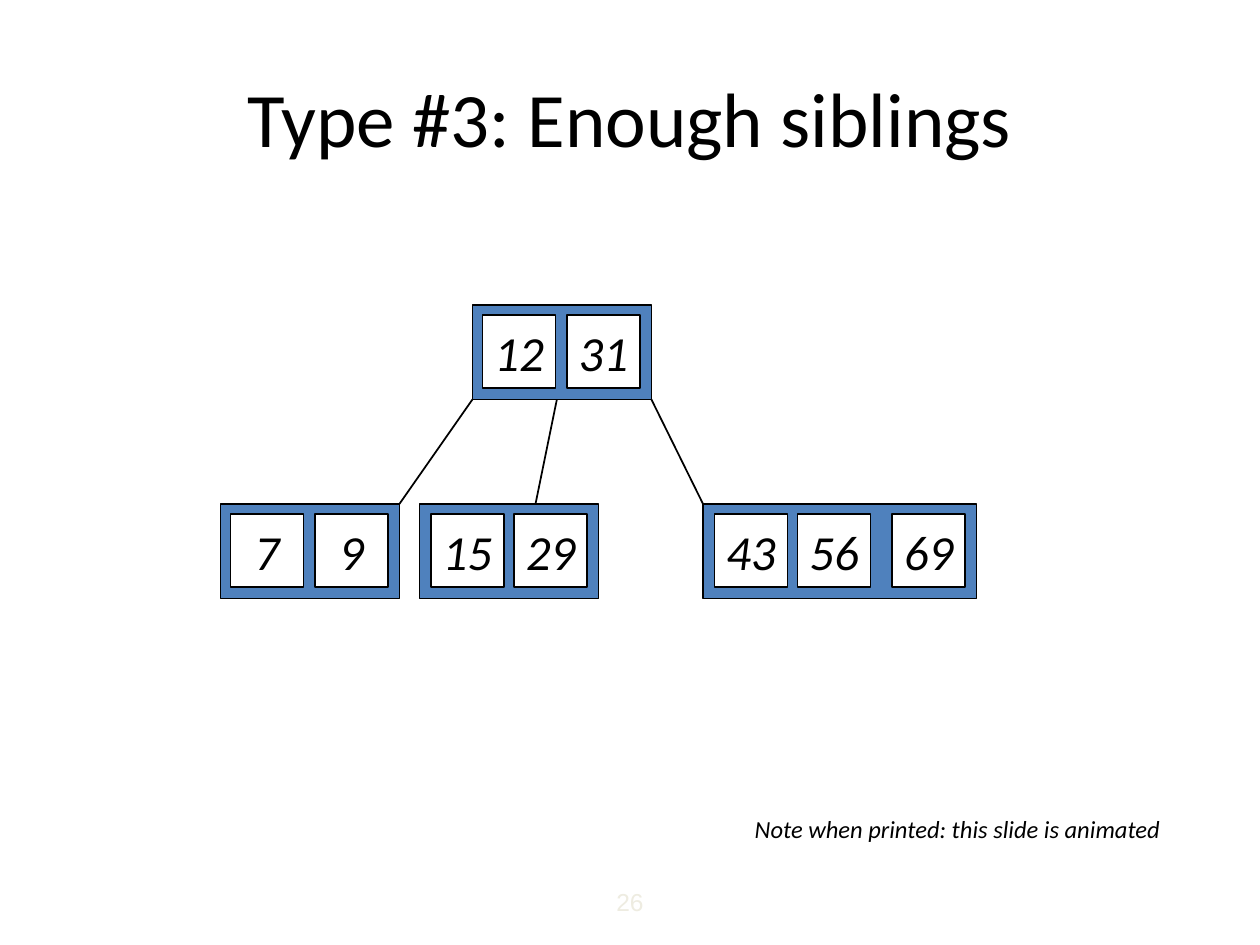
from pptx import Presentation
from pptx.dml.color import RGBColor
from pptx.enum.shapes import MSO_CONNECTOR, MSO_SHAPE
from pptx.enum.text import MSO_ANCHOR, PP_ALIGN
from pptx.oxml.ns import qn
from pptx.util import Inches, Pt

RECT = MSO_SHAPE.RECTANGLE
LINE = MSO_CONNECTOR.STRAIGHT
MID = MSO_ANCHOR.MIDDLE
CENTER = PP_ALIGN.CENTER
BLACK = RGBColor(0x00, 0x00, 0x00)
WHITE = RGBColor(0xFF, 0xFF, 0xFF)
BLUE = RGBColor(0x4F, 0x81, 0xBD)
PALE = RGBColor(0xEE, 0xEC, 0xE1)

KEY = 0.58
PAD = 0.08
HIGH = 0.75
TOP = 2.42
LOW = 4


class Board:
    """Draws the nodes, edges and labels of a tree on one slide."""

    def __init__(self, slide, font="Calibri"):
        self.shapes = slide.shapes
        self.font = font

    def fill_text(self, shape, text, size, color=BLACK, italic=False, wrap=False, font=None):
        frame = shape.text_frame
        frame.text = text
        frame.word_wrap = wrap
        frame.vertical_anchor = MID
        para = frame.paragraphs[0]
        para.alignment = CENTER
        style = para.runs[0].font
        style.name = font or self.font
        style.size = Pt(size)
        style.italic = italic
        style.color.rgb = color

    def label(self, x, y, w, h, text, size, **look):
        box = self.shapes.add_textbox(Inches(x), Inches(y), Inches(w), Inches(h))
        self.fill_text(box, text, size, **look)

    def rect(self, x, y, w, h, fill):
        box = self.shapes.add_shape(RECT, Inches(x), Inches(y), Inches(w), Inches(h))
        box.shadow.inherit = False
        box.fill.solid()
        box.fill.fore_color.rgb = fill
        box.line.color.rgb = BLACK
        box.line.width = Pt(1)
        return box

    def node(self, x, y, width, keys):
        self.rect(x, y, width, HIGH, BLUE)
        for left, text in keys:
            cell = self.rect(left, y + PAD, KEY, KEY, WHITE)
            self.fill_text(cell, text, 28, italic=True)

    def edge(self, start, end):
        line = self.shapes.add_connector(
            LINE, Inches(start), Inches(TOP + HIGH), Inches(end), Inches(LOW))
        line.line.color.rgb = BLACK
        line.line.width = Pt(1)
        props = line._element.spPr
        props.append(props.makeelement(qn("a:effectLst"), {}))


def main():
    deck = Presentation()
    deck.slide_width, deck.slide_height = Inches(10), Inches(7.5)
    board = Board(deck.slides.add_slide(deck.slide_layouts[6]))

    board.label(0.5, 0.3, 9, 1.25, "Type #3: Enough siblings", 44, wrap=True)
    nodes = [
        (3.75, TOP, 1.42, [(3.83, "12"), (4.5, "31")]),
        (1.75, LOW, 1.42, [(1.83, "7"), (2.5, "9")]),
        (3.33, LOW, 1.42, [(3.42, "15"), (4.08, "29")]),
        (5.58, LOW, 2.17, [(5.67, "43"), (6.33, "56"), (7.08, "69")]),
    ]
    for node in nodes:
        board.node(*node)
    for start, end in [(3.75, 3.17), (4.42, 4.25), (5.17, 5.58)]:
        board.edge(start, end)
    board.label(5.76, 6.41, 3.68, 0.33, "Note when printed: this slide is animated", 14, italic=True)
    board.label(3.5, 6.96, 3, 0.4, "26", 14, color=PALE, wrap=True, font="Arial")
    deck.save("out.pptx")


if __name__ == "__main__":
    main()
